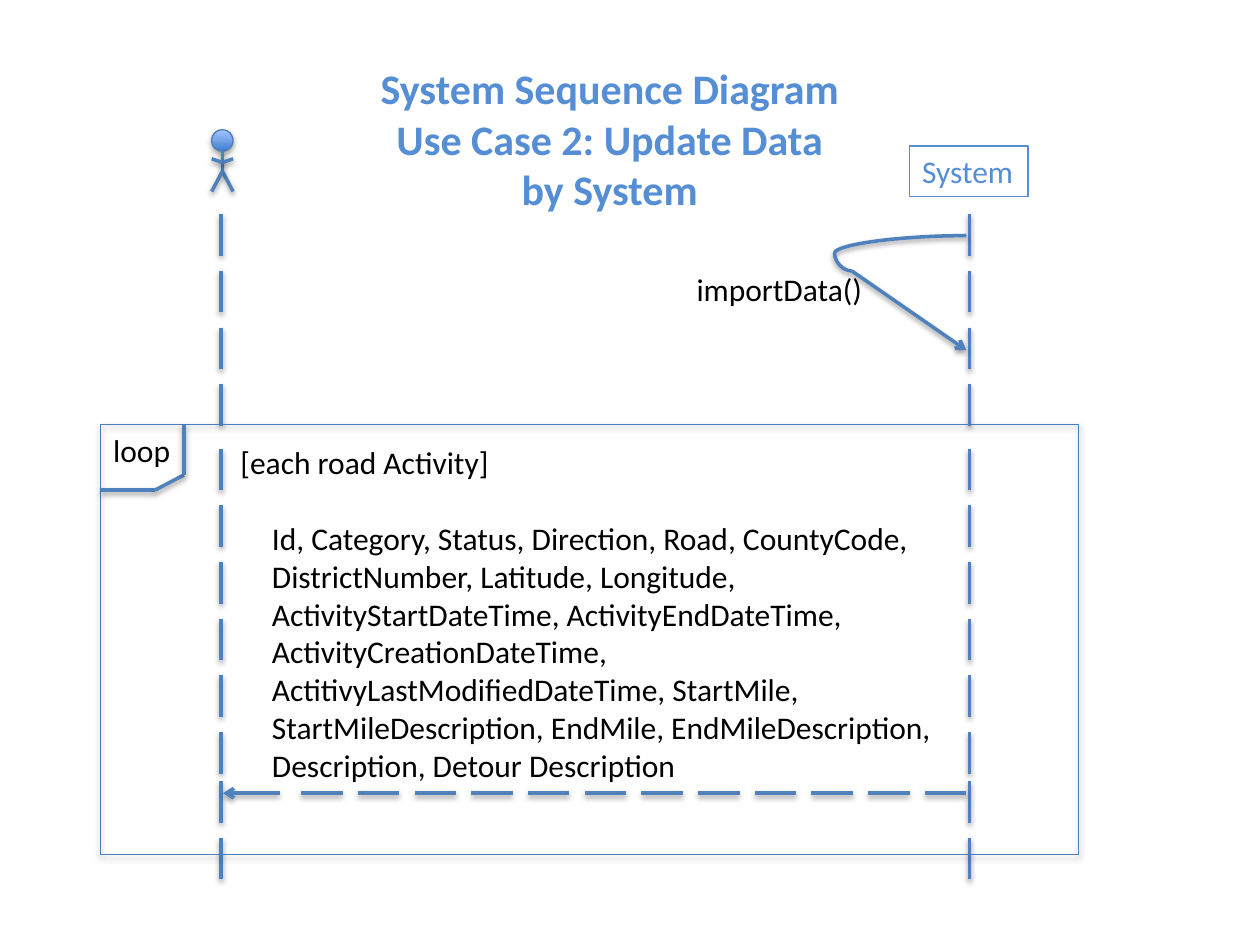
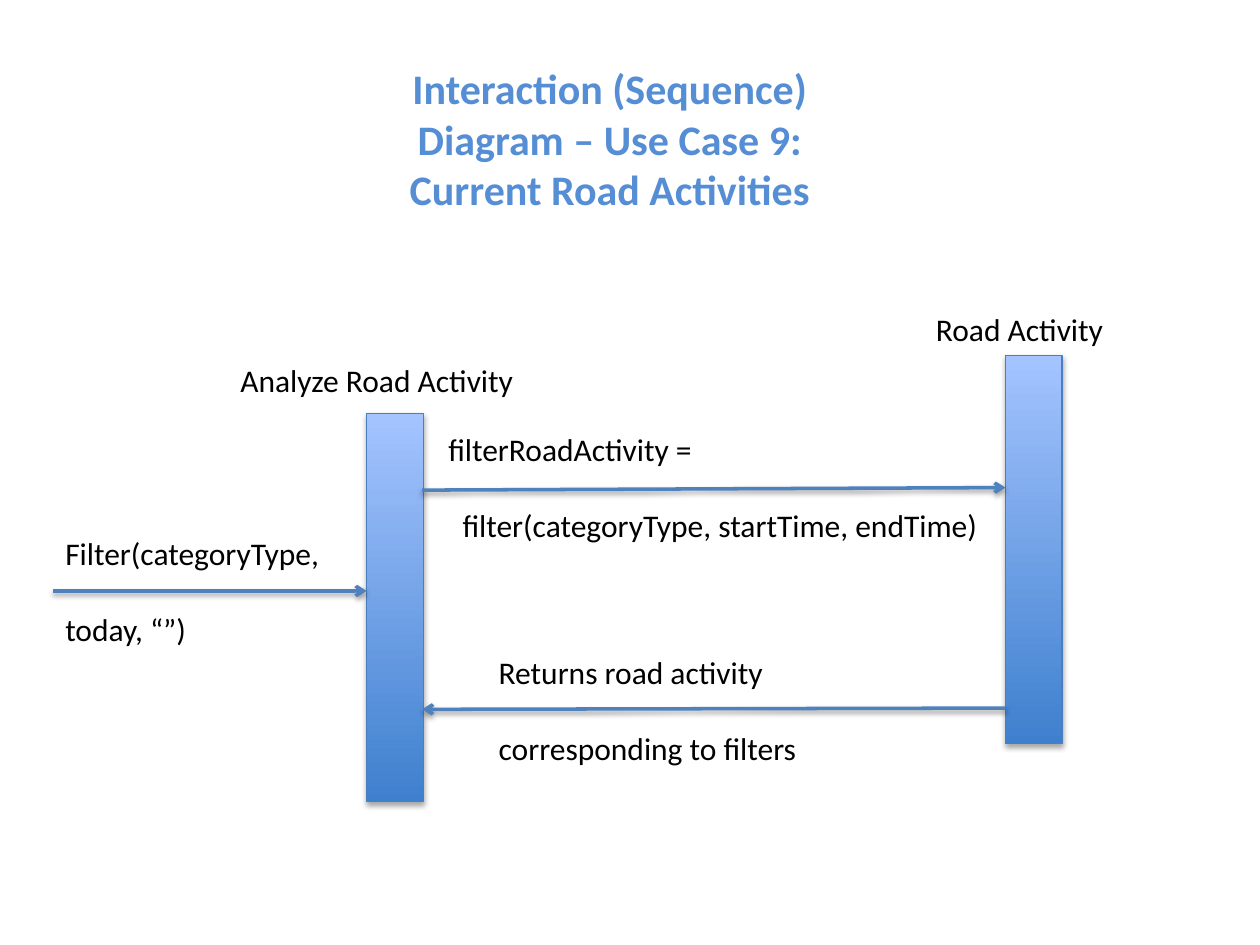
from lxml import etree
from pptx import Presentation
from pptx.dml.color import RGBColor
from pptx.enum.shapes import MSO_CONNECTOR, MSO_SHAPE
from pptx.enum.text import MSO_AUTO_SIZE, PP_ALIGN
from pptx.oxml.ns import qn
from pptx.util import Inches, Pt

# Grid of 100 columns by 75 rows, square cells
COLUMNS, ROWS = 100, 75
CELL = Inches(10) / COLUMNS
DASH, PITCH = 3.3, 4.5


def colour(value):
    return RGBColor.from_string(value)


def cells(*counts):
    return [round(count * CELL) for count in counts]


class Diagram:
    """Holds the style and the slide being drawn."""

    FONT = "Calibri"
    TITLE, TEXT = "558ED5", "000000"
    STROKE, OUTLINE = "4F81BD", "4B7EBC"
    GRADIENT = "3F80CE", "A4C4FF"

    def __init__(self):
        self.deck = Presentation()
        self.deck.slide_width, self.deck.slide_height = cells(COLUMNS, ROWS)

    def new_page(self, *title):
        self.page = self.deck.slides.add_slide(self.deck.slide_layouts[6])
        self.shapes = self.page.shapes
        self.text(29.1, 4.5, 38.6, 13.1, title, size=24, ink=self.TITLE,
                  bold=True, wrap=True, align=PP_ALIGN.CENTER)

    def open_group(self):
        self.shapes = self.page.shapes.add_group_shape().shapes

    def close_group(self):
        self.shapes = self.page.shapes

    def text(self, left, top, width, height, lines, size=18, ink=TEXT,
             bold=False, wrap=False, align=PP_ALIGN.LEFT, gap=0, indent=0):
        """Text box; gap and indent apply to the lines after the first."""
        box = self.shapes.add_textbox(*cells(left, top, width, height))
        frame = box.text_frame
        frame.text = "\n".join(lines)
        frame.word_wrap = wrap
        frame.auto_size = MSO_AUTO_SIZE.SHAPE_TO_FIT_TEXT
        for number, para in enumerate(frame.paragraphs):
            para.alignment = align
            if number:
                para.space_before = Pt(gap)
                para._p.get_or_add_pPr().set("marL", str(cells(indent)[0]))
            for span in para.runs:
                span.font.name, span.font.size = self.FONT, Pt(size)
                span.font.bold = bold
                span.font.color.rgb = colour(ink)
        return box

    def outline(self, box, ink):
        box.line.color.rgb = colour(ink)
        box.line.width = Pt(0.75)

    def shadow(self, effects, distance, opacity):
        cast = etree.SubElement(effects, qn("a:outerShdw"), blurRad=str(Pt(3.1)),
                                dist=str(Pt(distance)), dir="5400000",
                                rotWithShape="0")
        ink = etree.SubElement(cast, qn("a:srgbClr"), val="000000")
        etree.SubElement(ink, qn("a:alpha"), val=str(opacity * 1000))

    def shape(self, kind, left, top, width, height, filled=True):
        box = self.shapes.add_shape(kind, *cells(left, top, width, height))
        if filled:
            box.fill.gradient()
            box.fill.gradient_angle = 90
            for stop, ink in zip(box.fill.gradient_stops, self.GRADIENT):
                stop.color.rgb = colour(ink)
        else:
            box.fill.background()
        self.outline(box, self.OUTLINE)
        box.shadow.inherit = False
        self.shadow(box._element.spPr.find(qn("a:effectLst")), 1.8, 35)

    def line(self, x1, y1, x2, y2, arrow=False, kind=MSO_CONNECTOR.STRAIGHT):
        link = self.shapes.add_connector(kind, *cells(x1, y1, x2, y2))
        link.line.color.rgb = colour(self.STROKE)
        link.line.width = Pt(2)
        if arrow:
            etree.SubElement(link.line._get_or_add_ln(), qn("a:tailEnd"), type="arrow")
        properties = link._element.spPr
        self.shadow(etree.SubElement(properties, qn("a:effectLst")), 1.6, 38)
        return link

    def curve(self, x1, y1, x2, y2, bend):
        link = self.line(x1, y1, x2, y2, kind=MSO_CONNECTOR.CURVE)
        geometry = link._element.spPr.find(qn("a:prstGeom"))
        guides = geometry.find(qn("a:avLst"))
        if guides is None:
            guides = etree.SubElement(geometry, qn("a:avLst"))
        etree.SubElement(guides, qn("a:gd"), name="adj1",
                         fmla=f"val {round(bend * 100000)}")

    def path_lines(self, points):
        for start, end in zip(points, points[1:]):
            self.line(*start, *end)

    def lifeline(self, x):
        for top, count in ((17, 4), (35.6, 6), (62, 2)):
            for number in range(count):
                y = top + number * PITCH
                self.line(x, y, x, y + DASH)

    def actor(self, x, top):
        self.open_group()
        self.shape(MSO_SHAPE.OVAL, x - 0.85, top, 1.7, 1.7)
        self.line(x, top + 1.7, x, top + 3.3)
        for rise, reach in ((3.3, 1.6), (2.6, -0.3)):  # legs, then arms
            for side in (0.85, -0.85):
                self.line(x, top + rise, x + side, top + rise + reach)
        self.close_group()

    def bar(self, left, top):
        self.shape(MSO_SHAPE.RECTANGLE, left, top, 4.5, 30.8)


def system_sequence(diagram):
    diagram.new_page("System Sequence Diagram", "Use Case 2: Update Data by System")

    # Participants and their lifelines
    user, system = 17.55, 76.95
    for x in (user, system):
        diagram.lifeline(x)
    diagram.actor(17.65, 10.3)
    name = diagram.text(72.2, 11.6, 9.4, 4, ["System"], ink=diagram.TITLE)
    diagram.outline(name, diagram.TITLE)

    # Dashed reply, ending in an arrow at the user
    reply = 62.95
    diagram.open_group()
    for number in range(12):
        x = 76.7 - number * PITCH
        diagram.line(x, reply, x - DASH, reply)
    diagram.close_group()
    diagram.line(22.2, reply, 17.7, reply, arrow=True)
    diagram.text(54.3, 20.9, 15.3, 4, ["importData()"])
    diagram.text(20.6, 40.7, 54.9, 22.2, [
        "Id, Category, Status, Direction, Road, CountyCode,",
        "DistrictNumber, Latitude, Longitude,",
        "ActivityStartDateTime, ActivityEndDateTime,",
        "ActivityCreationDateTime,",
        "ActitivyLastModifiedDateTime, StartMile,",
        "StartMileDescription, EndMile, EndMileDescription,",
        "Description, Detour Description",
    ])

    # Loop frame with its corner tab
    left, top = 8, 33.7
    diagram.shape(MSO_SHAPE.RECTANGLE, left, top, 77.6, 34.1, filled=False)
    diagram.text(left, top, 6.6, 4, ["loop"])
    diagram.path_lines([(left, 38.9), (12.3, 38.9), (14.6, 37.7), (14.6, top)])
    diagram.text(18.1, 34.7, 22, 4, ["[each road Activity]"])

    # Call from the system to itself
    diagram.curve(76.7, 18.7, 67.6, 21.5, bend=1.15)
    diagram.line(67.6, 21.5, 76.7, 27.8, arrow=True)


def road_interaction(diagram):
    diagram.new_page("Interaction (Sequence) Diagram – Use Case 9: "
                     "Current Road Activities")
    between = 22  # points: one empty line, where the arrow runs

    # Analyze Road Activity and the call that reaches it
    diagram.bar(29.1, 32.8)
    diagram.text(18.1, 28.2, 24, 4, ["Analyze Road Activity"])
    diagram.line(4.2, 46.9, 29.1, 46.9, arrow=True)
    diagram.text(4.2, 41.9, 22.6, 10.1, ["Filter(categoryType,", "today, “”)"],
                 gap=between)

    # Road Activity, with the request and the answer
    diagram.bar(79.8, 28.2)
    diagram.text(73.3, 24.1, 15.5, 4, ["Road Activity"])
    diagram.line(33.5, 38.9, 79.8, 38.7, arrow=True)
    diagram.text(34.6, 33.6, 44.7, 10.1,
                 ["filterRoadActivity =", "filter(categoryType, startTime, endTime)"],
                 gap=between, indent=1.13)
    diagram.line(79.8, 56.2, 33.5, 56.3, arrow=True)
    diagram.text(38.6, 51.3, 26, 10.1,
                 ["Returns road activity", "corresponding to filters"], gap=between)


def main():
    diagram = Diagram()
    system_sequence(diagram)
    road_interaction(diagram)
    diagram.deck.save("out.pptx")


if __name__ == "__main__":
    main()
